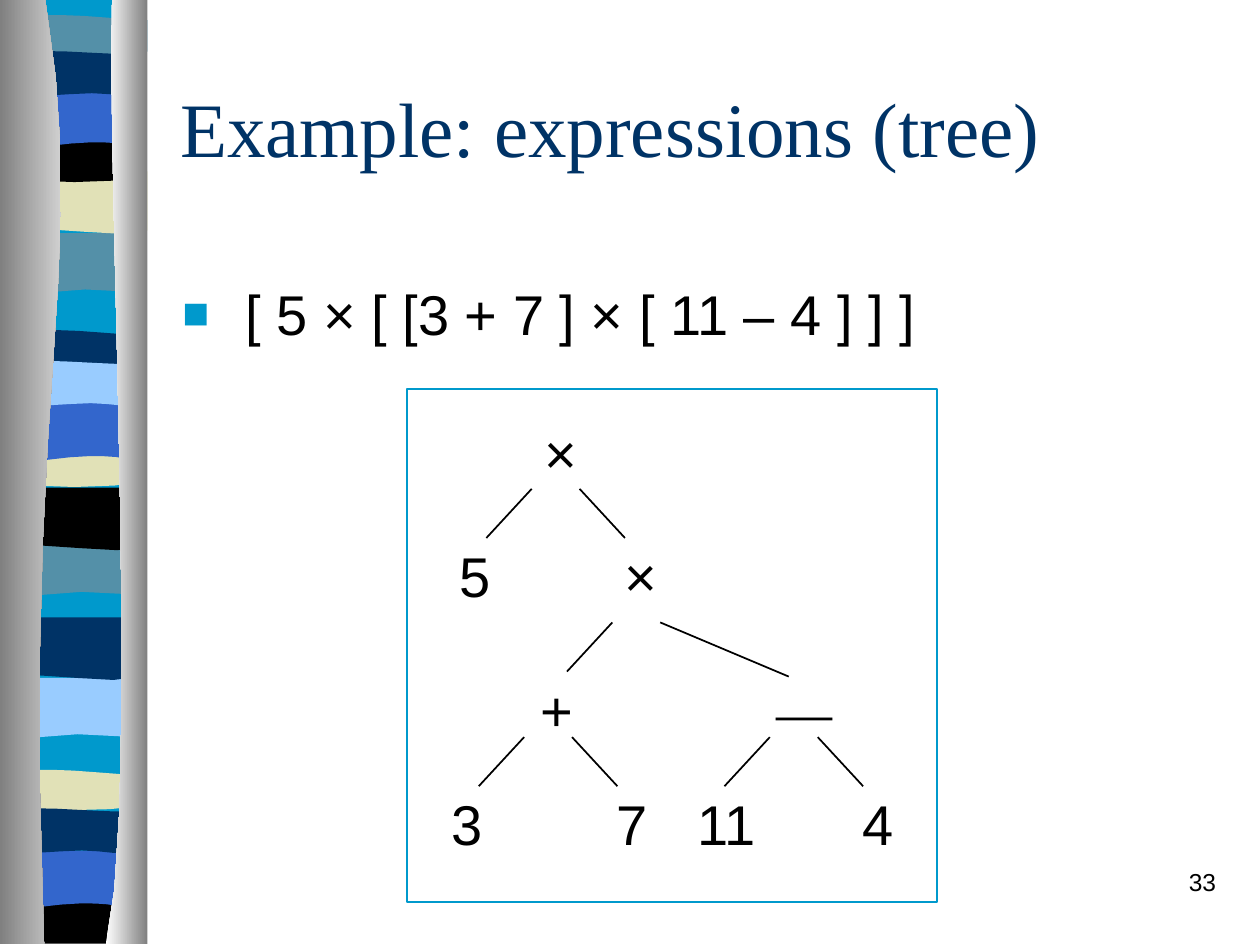
from dataclasses import dataclass

from lxml import etree
from pptx import Presentation
from pptx import util as u
from pptx.dml.color import RGBColor
from pptx.enum import shapes, text
from pptx.oxml import ns


@dataclass(frozen=True)
class Theme:
    ink: str = "000000"
    navy: str = "003366"
    cyan: str = "0099CC"
    steel: str = "5490A8"
    blue: str = "3366CC"
    light: str = "99CCFF"
    cream: str = "E1E1B7"
    silver_dark: str = "808080"
    silver_light: str = "D0D0D0"
    white: str = "FFFFFF"
    sans: str = "Arial"
    serif: str = "Times New Roman"
    title_size: int = 44
    body_size: int = 32
    number_size: int = 14


THEME = Theme()
WIDTH, HEIGHT = 10, 7.5

# Content
TITLE = "Example: expressions (tree)"
EXPRESSION = " [ 5 × [ [3 + 7 ] × [ 11 – 4 ] ] ]"
PAGE_NUMBER = "33"

# Tree nodes: label, centre, top
NODES = [
    ("×", 4.43, 3.27),
    ("5", 3.75, 4.25), ("×", 5.06, 4.25),
    ("+", 4.4, 5.31), ("—", 6.27, 5.32),
    ("3", 3.69, 6.22), ("7", 5, 6.22), ("11", 5.77, 6.22), ("4", 6.95, 6.22),
]
# Branch pairs: centre, top, (run, drop) of the right branch
BRANCH = (0.36, 0.39)
FORKS = [(4.41, 3.88, BRANCH), (5.05, 4.94, (1.02, 0.43)),
         (4.35, 5.85, BRANCH), (6.3, 5.85, BRANCH)]
FORK_GAP = 0.19
FRAME = (3.23, 3.09, 4.21, 4.07)

# Band outlines: a single point is a corner, three points end a curve
SPAN = 1.08
FLAT_TOP = [[(0, 0)], [(SPAN, 0)]]
OUTLINES = {
    "strip": FLAT_TOP + [[(SPAN, 7.48)], [(0, 7.48)]],
    "sag": FLAT_TOP + [[(SPAN, 0.47)], [(0.34, 0.39), (0.19, 0.55), (0, 0.47)]],
    "ripple": FLAT_TOP + [[(SPAN, 0.47)], [(0.9, 0.55), (0.33, 0.42), (0, 0.47)]],
    "arch": [[(SPAN, 0.04)], [(SPAN, 0.29)], [(0.9, 0.33), (0.18, 0.33), (0, 0.29)],
             [(0, 0.04)], [(0.07, 0), (0.23, 0), (0.41, 0)],
             [(0.59, 0), (0.94, 0.04), (SPAN, 0.04)]],
    "lens": [[(SPAN, 0)], [(SPAN, 0.32)], [(0.9, 0.38), (0.18, 0.38), (0, 0.32)],
             [(0, 0)], [(0.67, 0.05), (0.86, 0), (SPAN, 0)]],
    "base": [[(SPAN, 0)], [(SPAN, 0.37)], [(0, 0.37)],
             [(0, 0)], [(0.67, 0.05), (0.86, 0), (SPAN, 0)]],
    "hump": FLAT_TOP + [[(SPAN, 0.48)], [(0.91, 0.42), (0.84, 0.42), (0.66, 0.42)],
                        [(0.48, 0.42), (0.16, 0.48), (0, 0.48)]],
    "flag": [[(SPAN, 0.06)], [(SPAN, 0.37)], [(1.01, 0.42), (0.85, 0.37), (0.67, 0.37)],
             [(0.49, 0.37), (0.11, 0.42), (0, 0.37)],
             [(0, 0.06)], [(0.15, 0), (0.74, 0.06), (0.92, 0.06)]],
}
# Bands from back to front: outline, left, top, colour
BANDS = [
    ("strip", 0.06, -0.01, THEME.cyan),
    ("sag", 0.05, 1.85, THEME.steel),
    ("ripple", 0.09, 1.36, THEME.cream),
    ("arch", 0.09, 0.12, THEME.steel),
    ("lens", 0.05, 1.08, THEME.ink),
    ("hump", 0.06, 0.71, THEME.blue),
    ("flag", 0.06, 0.37, THEME.navy),
    ("sag", 0.02, 4.25, THEME.steel),
    ("ripple", 0.05, 3.87, THEME.ink),
    ("arch", 0.05, 2.62, THEME.navy),
    ("lens", 0.05, 3.5, THEME.cream),
    ("hump", 0.05, 3.2, THEME.blue),
    ("flag", 0.05, 2.83, THEME.light),
    ("sag", -0.01, 5.38, THEME.light),
    ("ripple", 0.02, 4.9, THEME.navy),
    ("arch", 0.01, 6.11, THEME.cream),
    ("base", 0.02, 7.12, THEME.ink),
    ("hump", -0.02, 6.75, THEME.blue),
    ("flag", -0.02, 6.38, THEME.navy),
]
# Silver edges: outline, colours from left to right
SILVER = [
    ([[(0, 0)], [(0.36, 0)], [(0.72, 2.16), (0.17, 2.96), (0.35, 7.49)], [(0, 7.49)]],
     (THEME.silver_dark, THEME.silver_light)),
    ([[(1.17, 0)], [(0.89, 0)], [(0.84, 1.25), (1.12, 6.46), (0.84, 7.49)],
      [(1.17, 7.49)]], (THEME.white, THEME.silver_dark)),
]


def color(value):
    return RGBColor.from_string(value)


def trace(outline, steps):
    """Corner points of an outline, with each curve cut into short steps."""
    points = []
    for part in outline:
        if len(part) == 1:
            points += part
            continue
        controls = [points[-1], *part]
        for step in range(1, steps + 1):
            t = step / steps
            weights = ((1 - t) ** 3, 3 * t * (1 - t) ** 2, 3 * t * t * (1 - t), t ** 3)
            points.append(tuple(sum(w * c[axis] for w, c in zip(weights, controls))
                                for axis in (0, 1)))
    return points


def add_outline(slide, outline, steps, left=0, top=0):
    corners = [(u.Inches(left + x), u.Inches(top + y)) for x, y in trace(outline, steps)]
    builder = slide.shapes.build_freeform(*corners[0])
    builder.add_line_segments(corners[1:], close=True)
    shape = builder.convert_to_shape()
    shape.shadow.inherit = False
    shape.line.fill.background()
    return shape


def add_run(paragraph, content, size, font=THEME.sans, ink=THEME.ink):
    run = paragraph.add_run()
    run.text = content
    run.font.size = u.Pt(size)
    run.font.name = font
    run.font.color.rgb = color(ink)


def add_text(slide, box, content, size, align, font=THEME.sans):
    shape = slide.shapes.add_textbox(*map(u.Inches, box))
    shape.text_frame.word_wrap = True
    paragraph = shape.text_frame.paragraphs[0]
    paragraph.alignment = align
    add_run(paragraph, content, size, font)
    return paragraph


def add_bullet(paragraph):
    properties = paragraph._p.get_or_add_pPr()
    properties.set("marL", str(u.Inches(0.38)))
    properties.set("indent", str(-u.Inches(0.38)))
    bullet_color = etree.SubElement(properties, ns.qn("a:buClr"))
    etree.SubElement(bullet_color, ns.qn("a:srgbClr"), val=THEME.cyan)
    etree.SubElement(properties, ns.qn("a:buSzPct"), val="80000")
    etree.SubElement(properties, ns.qn("a:buFont"), typeface=THEME.sans)
    etree.SubElement(properties, ns.qn("a:buChar"), char="■")


def add_branch(slide, start, end):
    line = slide.shapes.add_connector(shapes.MSO_CONNECTOR.STRAIGHT,
                                      *map(u.Inches, start + end))
    line.line.color.rgb = color(THEME.ink)
    line.line.width = u.Pt(1)
    etree.SubElement(line._element.spPr, ns.qn("a:effectLst"))


def add_ribbon(slide):
    for name, left, top, fill in BANDS:
        band = add_outline(slide, OUTLINES[name], 4, left, top)
        band.fill.solid()
        band.fill.fore_color.rgb = color(fill)
    for outline, tones in SILVER:
        edge = add_outline(slide, outline, 10)
        edge.fill.gradient()
        edge.fill.gradient_angle = 0
        for stop, position, tone in zip(edge.fill.gradient_stops, (0, 1), tones):
            stop.position = position
            stop.color.rgb = color(tone)


def add_tree(slide):
    for label, centre, top in NODES:
        width = 0.41 if len(label) == 1 else 0.76
        font = THEME.serif if label == "—" else THEME.sans
        add_text(slide, (centre - width / 2, top, width, 0.63), label,
                 THEME.body_size, text.PP_ALIGN.CENTER, font)
    for centre, top, right in FORKS:
        for side, (run, drop) in ((-1, BRANCH), (1, right)):
            x = centre + side * FORK_GAP
            add_branch(slide, (x, top), (x + side * run, top + drop))
    frame = slide.shapes.add_shape(shapes.MSO_SHAPE.RECTANGLE, *map(u.Inches, FRAME))
    frame.shadow.inherit = False
    frame.fill.background()
    frame.line.color.rgb = color(THEME.cyan)
    frame.line.width = u.Pt(1)


def main():
    presentation = Presentation()
    presentation.slide_width, presentation.slide_height = u.Inches(WIDTH), u.Inches(HEIGHT)
    slide = presentation.slides.add_slide(presentation.slide_layouts[5])
    add_ribbon(slide)

    # Title
    title = slide.shapes.title
    title.left, title.top, title.width, title.height = map(
        u.Inches, (1.33, 0.23, 8.5, 1.19))
    title.text_frame.vertical_anchor = text.MSO_ANCHOR.BOTTOM
    heading = title.text_frame.paragraphs[0]
    heading.alignment = text.PP_ALIGN.LEFT
    add_run(heading, TITLE, THEME.title_size, THEME.serif, THEME.navy)

    # Expression, its tree and the page number
    add_bullet(add_text(slide, (1.35, 2.17, 8.5, 1.75), EXPRESSION,
                        THEME.body_size, text.PP_ALIGN.LEFT))
    add_tree(slide)
    add_text(slide, (7.67, 6.83, 2.08, 0.5), PAGE_NUMBER,
             THEME.number_size, text.PP_ALIGN.RIGHT)
    presentation.save("out.pptx")


if __name__ == "__main__":
    main()
